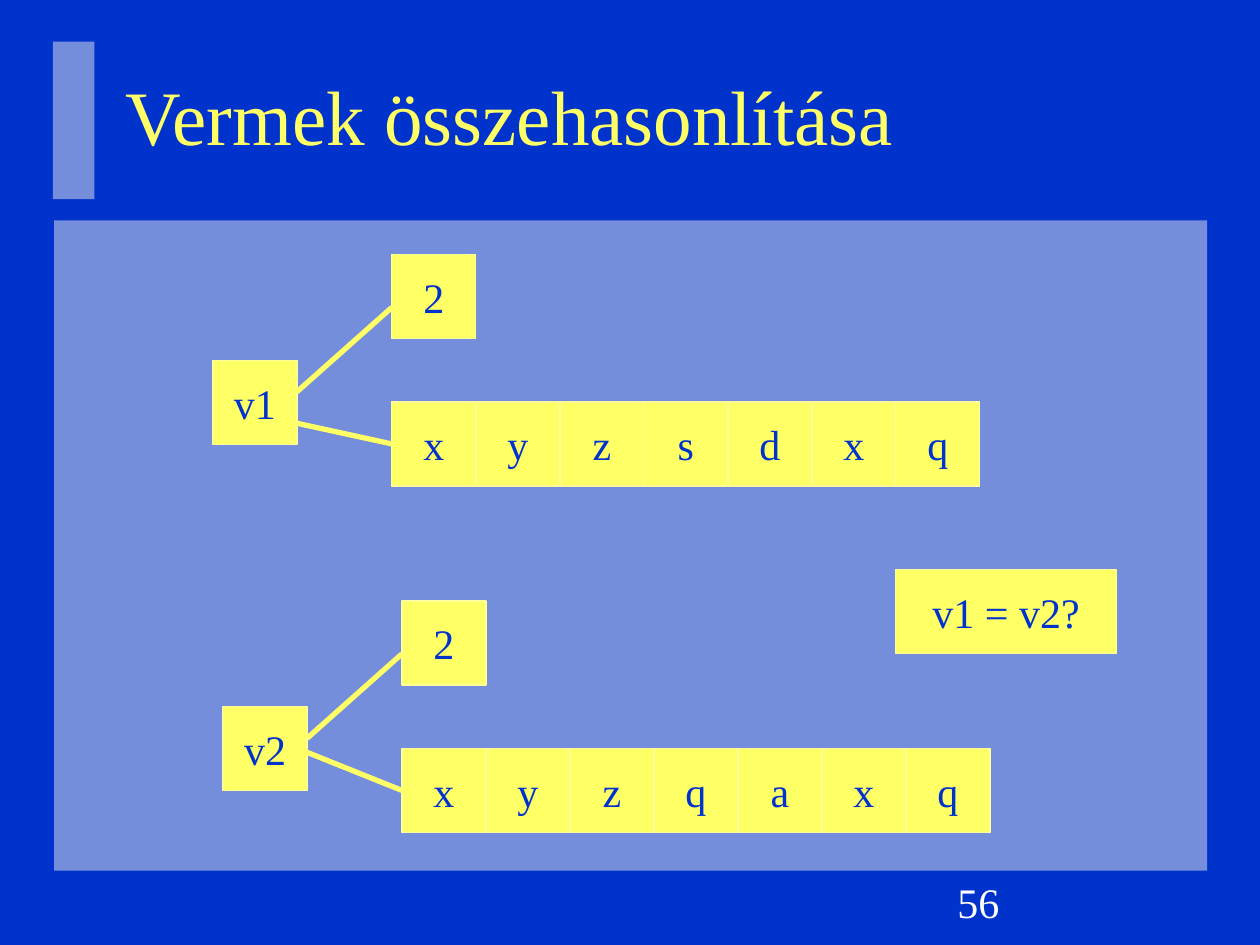
from lxml import etree
from pptx import Presentation
from pptx.dml.color import RGBColor
from pptx.enum.shapes import MSO_CONNECTOR, MSO_SHAPE
from pptx.enum.text import MSO_ANCHOR, PP_ALIGN
from pptx.oxml.ns import qn
from pptx.util import Inches, Pt

COLORS = {name: RGBColor.from_string(value) for name, value in {
    "blue": "0033CC", "panel": "EAEAEA", "yellow": "FFFF66",
    "edge": "FFFF99", "white": "FFFFFF"}.items()}
CELL = 2 / 3

presentation = Presentation()
presentation.slide_width, presentation.slide_height = Inches(10), Inches(7.5)
slide = presentation.slides.add_slide(presentation.slide_layouts[6])
slide.background.fill.solid()
slide.background.fill.fore_color.rgb = COLORS["blue"]


def write(shape, text, size, color, align=PP_ALIGN.LEFT, wrap=True):
    frame = shape.text_frame
    frame.word_wrap = wrap
    frame.vertical_anchor = MSO_ANCHOR.MIDDLE
    paragraph = frame.paragraphs[0]
    paragraph.alignment = align
    run = paragraph.add_run()
    run.text = text
    run.font.name = "Times New Roman"
    run.font.size = Pt(size)
    run.font.color.rgb = COLORS[color]


def add_box(text, left, top, width=CELL):
    shape = slide.shapes.add_shape(MSO_SHAPE.RECTANGLE, Inches(left), Inches(top),
                                   Inches(width), Inches(CELL))
    shape.shadow.inherit = False
    shape.fill.solid()
    shape.fill.fore_color.rgb = COLORS["yellow"]
    shape.line.color.rgb = COLORS["edge"]
    shape.line.width = Pt(0.75)
    write(shape, text, 24, "blue", PP_ALIGN.CENTER, wrap=False)
    return shape


# Half-transparent content panel and title bar
for left, top, width, height in [(0.43, 1.75, 9.15, 5.16), (0.42, 0.33, 0.33, 1.25)]:
    panel = slide.shapes.add_shape(MSO_SHAPE.RECTANGLE, Inches(left), Inches(top),
                                   Inches(width), Inches(height))
    panel.shadow.inherit = False
    panel.line.fill.background()
    panel.fill.solid()
    panel.fill.fore_color.rgb = COLORS["panel"]
    color_element = panel.fill._xPr.find(".//" + qn("a:srgbClr"))
    etree.SubElement(color_element, qn("a:alpha"), val="50000")

# Title and page number
for text, left, top, width, height, size, color in [
        ("Vermek összehasonlítása", 0.9, 0.36, 8.43, 1.1, 44, "yellow"),
        ("56", 7.5, 6.91, 2.08, 0.5, 24, "white")]:
    text_box = slide.shapes.add_textbox(Inches(left), Inches(top), Inches(width), Inches(height))
    write(text_box, text, size, color)

# Two stacks: name, size and elements, with lines from the name
for name, elements, left, top, array_line_top in [
        ("v1", "xyzsdxq", 1.69, 2.02, 3.36), ("v2", "xyzqaxq", 1.77, 4.77, 5.94)]:
    array_left = left + 1.42
    add_box(name, left, top + 0.84)
    cells = [add_box(element, array_left + index * CELL, top + 1.17)
             for index, element in enumerate(elements)]
    add_box("2", array_left, top)

    size_line = slide.shapes.add_connector(
        MSO_CONNECTOR.STRAIGHT, Inches(left + CELL), Inches(top + 1.09),
        Inches(array_left), Inches(top + 0.42))
    array_line = slide.shapes.add_connector(
        MSO_CONNECTOR.STRAIGHT, Inches(2.36), Inches(array_line_top),
        Inches(array_left), Inches(top + 1.5))
    array_line.end_connect(cells[0], 1)
    for line in (size_line, array_line):
        line.line.color.rgb = COLORS["yellow"]
        line.line.width = Pt(3)
        etree.SubElement(line._element.spPr, qn("a:effectLst"))

# Question
add_box("v1 = v2?", 7.11, 4.52, 1.75)

presentation.save("out.pptx")
